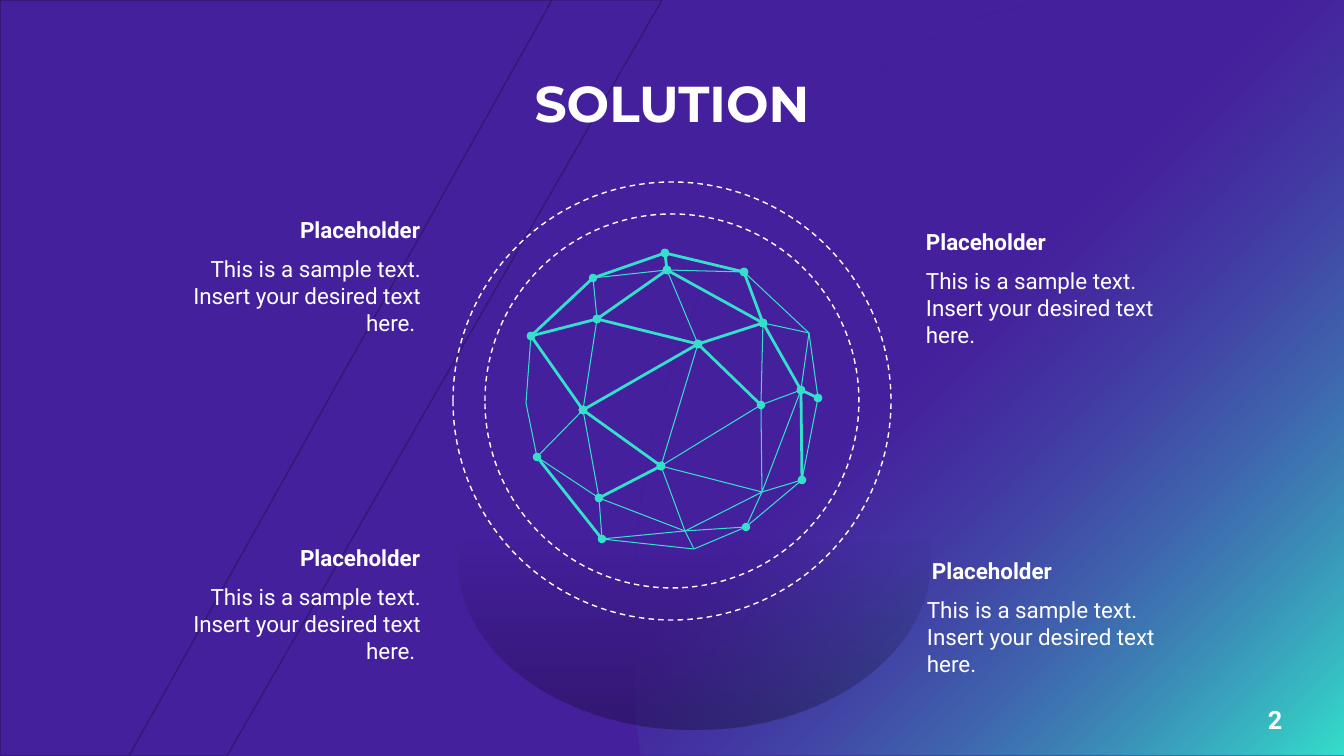
from math import cos, pi, sin

from lxml.etree import SubElement
from pptx import Presentation
from pptx.dml.color import RGBColor
from pptx.enum.dml import MSO_LINE
from pptx.enum.shapes import MSO_CONNECTOR, MSO_SHAPE
from pptx.enum.text import MSO_ANCHOR, MSO_AUTO_SIZE, PP_ALIGN
from pptx.oxml.ns import qn
from pptx.util import Pt

SCALE = 914400 / 100.8  # EMU per pixel
WIDTH, HEIGHT = 1344, 756
PURPLE, DARK, TEAL, WHITE, BLACK = "45209D", "331874", "34DFCB", "FFFFFF", "000000"

TITLE = "SOLUTION"
PAGE = "2"
HEADING = "Placeholder"
BODY = "This is a sample text. Insert your desired text here. "
HEADING_RISE = 39
# heading left, body left, body top, alignment
CAPTIONS = [
    (275, 152, 255, PP_ALIGN.RIGHT),
    (275, 152, 583, PP_ALIGN.RIGHT),
    (926, 926, 267, PP_ALIGN.LEFT),
    (932, 927, 596, PP_ALIGN.LEFT),
]

BANDS = [
    [(0, 0), (662, 0), (227, 756), (0, 756)],
    [(0, 0), (552, 0), (129, 756), (0, 756)],
]
GLOW_CENTER, GLOW_RADII, GLOW_STEPS = (1091, 629), (459, 629), 30
SHADE_BOX = (458, 390, 472, 340)
RING_CENTER, RING_RADII = (672, 401), (219, 187)

NODES = {
    "A": (744, 272), "B": (665, 253), "C": (818, 398), "D": (809, 333),
    "E": (602, 539), "F": (694, 549), "G": (746, 527), "H": (802, 480),
    "I": (537, 457), "J": (531, 336), "K": (526, 403), "L": (593, 278),
    "M": (667, 270), "N": (583, 410), "O": (599, 498), "P": (597, 319),
    "Q": (661, 466), "R": (685, 531), "S": (698, 344), "T": (801, 390),
    "U": (763, 323), "V": (762, 492), "W": (761, 405),
}
# nodes along each strand; "o" before or after them marks a dotted end
STRANDS = """oABo oCDAo EFGHC oIEo JKI oBLo LMA NOE LPNo oQRF oMSQo oBMo LJ
    oCTo oUAo oTUo oHT oQVHo oNQo oJNo oPJo oMPo oUMo TDU oUWVT oSUo oNSo
    oOINo oQOo oTWQo oGRE ORVG oSWo oPSo""".split()


def px(*lengths):
    """Turn pixel lengths into EMU."""
    return [round(length * SCALE) for length in lengths]


def color(code):
    """Turn a hex string into a colour."""
    return RGBColor.from_string(code)


def assign(target, values):
    """Set attributes from a dict."""
    for name, value in values.items():
        setattr(target, name, value)


def add_alpha(parent, code, opacity):
    """Add a colour with an opacity in percent."""
    tint = SubElement(parent, qn("a:srgbClr"), val=code)
    SubElement(tint, qn("a:alpha"), val=str(opacity * 1000))


def fill_solid(shape, code, opacity=100):
    """Fill a shape with one colour."""
    shape.fill.solid()
    shape.fill.fore_color.rgb = color(code)
    if opacity < 100:
        solid = shape.element.spPr.find(qn("a:solidFill"))
        solid.remove(solid[0])
        add_alpha(solid, code, opacity)


def fill_gradient(shape, stops, angle):
    """Fill a shape with (percent, colour, opacity) stops."""
    shape.fill.gradient()
    gradient = shape.element.spPr.find(qn("a:gradFill"))
    for part in list(gradient):
        gradient.remove(part)
    stop_list = SubElement(gradient, qn("a:gsLst"))
    for position, code, opacity in stops:
        stop = SubElement(stop_list, qn("a:gs"), pos=str(position * 1000))
        add_alpha(stop, code, opacity)
    SubElement(gradient, qn("a:lin"), ang=str(angle * 60000), scaled="0")


def set_line(shape, code, width, dash=None):
    """Set the outline of a shape or connector."""
    shape.line.color.rgb = color(code)
    assign(shape.line, {"width": Pt(width), "dash_style": dash})


def add_preset(shapes, preset, box):
    """Add a preset shape without shadow, fill or line."""
    shape = shapes.add_shape(preset, *px(*box))
    shape.shadow.inherit = False
    shape.fill.background()
    shape.line.fill.background()
    return shape


def add_outline(shapes, points, close=True):
    """Add a freeform through pixel points without fill or line."""
    builder = shapes.build_freeform(*points[0], scale=SCALE)
    builder.add_line_segments(points[1:], close=close)
    shape = builder.convert_to_shape()
    shape.shadow.inherit = False
    shape.fill.background()
    shape.line.fill.background()
    return shape


def write(frame, text, align, font, code=WHITE, **paragraph_format):
    """Write one formatted paragraph into a text frame."""
    paragraph = frame.paragraphs[0]
    assign(paragraph, {"alignment": align, **paragraph_format})
    run = paragraph.add_run()
    run.text = text
    assign(run.font, font)
    run.font.color.rgb = color(code)


def add_text(shapes, box, text, align, font, inset=0):
    """Add a text box that grows with its text."""
    frame = shapes.add_textbox(*px(*box)).text_frame
    margins = {f"margin_{side}": Pt(inset) for side in ("left", "right", "top", "bottom")}
    assign(frame, {"word_wrap": True, "auto_size": MSO_AUTO_SIZE.SHAPE_TO_FIT_TEXT, **margins})
    write(frame, text, align, font)


def add_strand(shapes, strand):
    """Draw one strand of the globe with its dotted ends."""
    points = [NODES[node] for node in strand.strip("o")]
    if len(points) == 2:
        link = shapes.add_connector(MSO_CONNECTOR.STRAIGHT, *px(*points[0], *points[1]))
    else:
        link = add_outline(shapes, points, close=False)
    set_line(link, TEAL, 0)
    properties = link.element.spPr
    stroke = properties.find(qn("a:ln"))
    for tag, dotted in (("a:headEnd", strand[0] == "o"), ("a:tailEnd", strand[-1] == "o")):
        if dotted:
            SubElement(stroke, qn(tag), type="oval")
    if len(points) == 2:
        SubElement(properties, qn("a:effectLst"))


def add_backdrop(shapes):
    """Draw the purple ground, the corner glow, the bands and the globe's shade."""
    fill_solid(add_preset(shapes, MSO_SHAPE.RECTANGLE, (0, 0, WIDTH, HEIGHT)), PURPLE)
    (center_x, center_y), (radius_x, radius_y) = GLOW_CENTER, GLOW_RADII
    turns = [pi + pi / 2 * step / GLOW_STEPS for step in range(GLOW_STEPS + 1)]
    arc = [(round(center_x + radius_x * cos(turn)), round(center_y + radius_y * sin(turn)))
           for turn in turns]
    glow = add_outline(shapes, [(WIDTH, 0), (WIDTH, HEIGHT), (641, HEIGHT), (637, 726), *arc])
    fill_gradient(glow, [(44, PURPLE, 40), (100, TEAL, 100)], 45)
    for points in BANDS:
        band = add_outline(shapes, points)
        fill_solid(band, PURPLE, 20)
        set_line(band, DARK, 1)
    shade = add_preset(shapes, MSO_SHAPE.OVAL, SHADE_BOX)
    fill_gradient(shade, [(44, BLACK, 0), (100, BLACK, 28)], 90)


presentation = Presentation()
assign(presentation, dict(zip(("slide_width", "slide_height"), px(WIDTH, HEIGHT))))
slide = presentation.slides.add_slide(presentation.slide_layouts[5])
shapes = slide.shapes
label_font = {"name": "Roboto", "size": Pt(16), "bold": False}
heading_font = {**label_font, "bold": True}

add_backdrop(shapes)
add_text(shapes, (1236, 699, 78, 40), PAGE, PP_ALIGN.CENTER,
         {**heading_font, "size": Pt(18)}, inset=4)

title = shapes.title
shapes.element.append(title.element)  # bring in front of the backdrop
assign(title, dict(zip(("left", "top", "width", "height"), px(107, 77, 1130, 58))))
assign(title.text_frame, {"vertical_anchor": MSO_ANCHOR.MIDDLE, "word_wrap": True,
                          "auto_size": MSO_AUTO_SIZE.NONE})
write(title.text_frame, TITLE, PP_ALIGN.CENTER,
      {"name": "Montserrat", "size": Pt(36), "bold": True}, line_spacing=0.9)

for radius in RING_RADII:
    corner = [middle - radius for middle in RING_CENTER]
    ring = add_preset(shapes, MSO_SHAPE.OVAL, (*corner, 2 * radius, 2 * radius))
    set_line(ring, WHITE, 1, MSO_LINE.DASH)

globe = shapes.add_group_shape()
for strand in STRANDS:
    add_strand(globe.shapes, strand)

for heading_left, body_left, top, align in CAPTIONS:
    add_text(shapes, (body_left, top, 269, 54), BODY, align, label_font)
    add_text(shapes, (heading_left, top - HEADING_RISE, 145, 27), HEADING, align, heading_font)

presentation.save("out.pptx")
